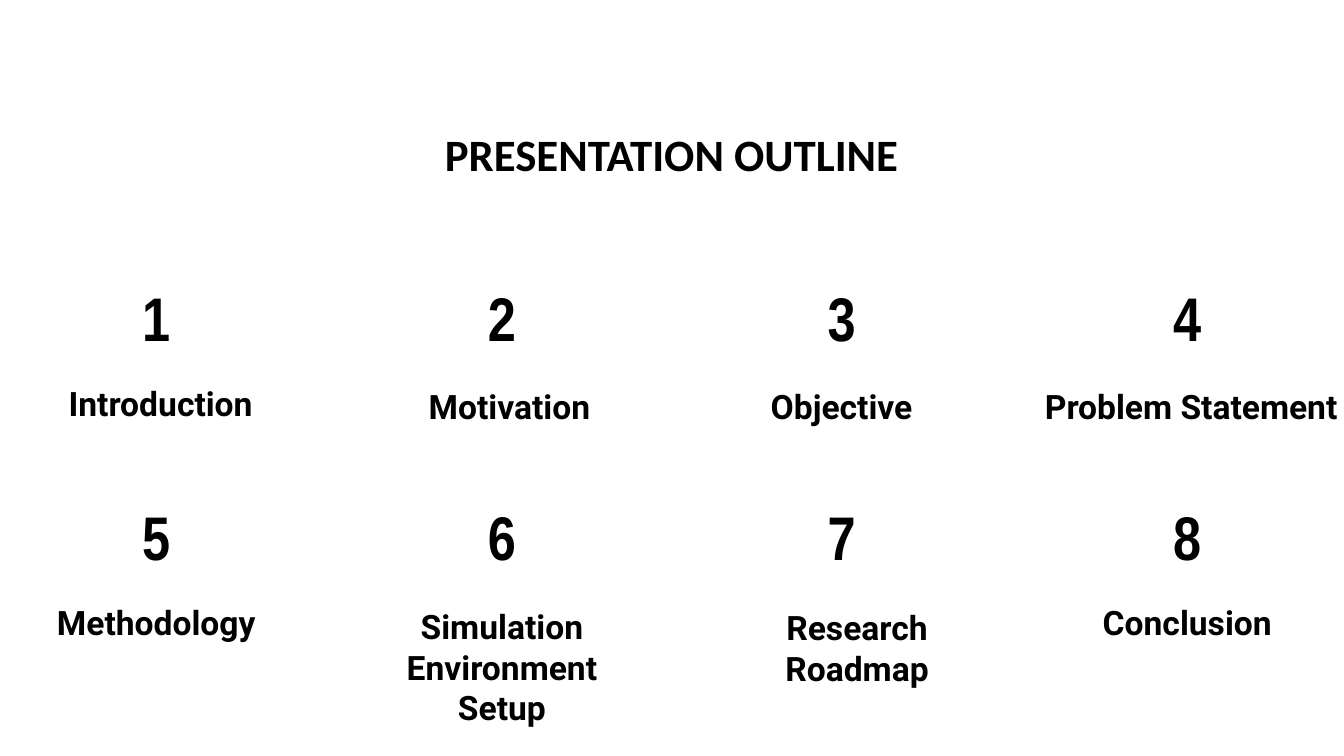
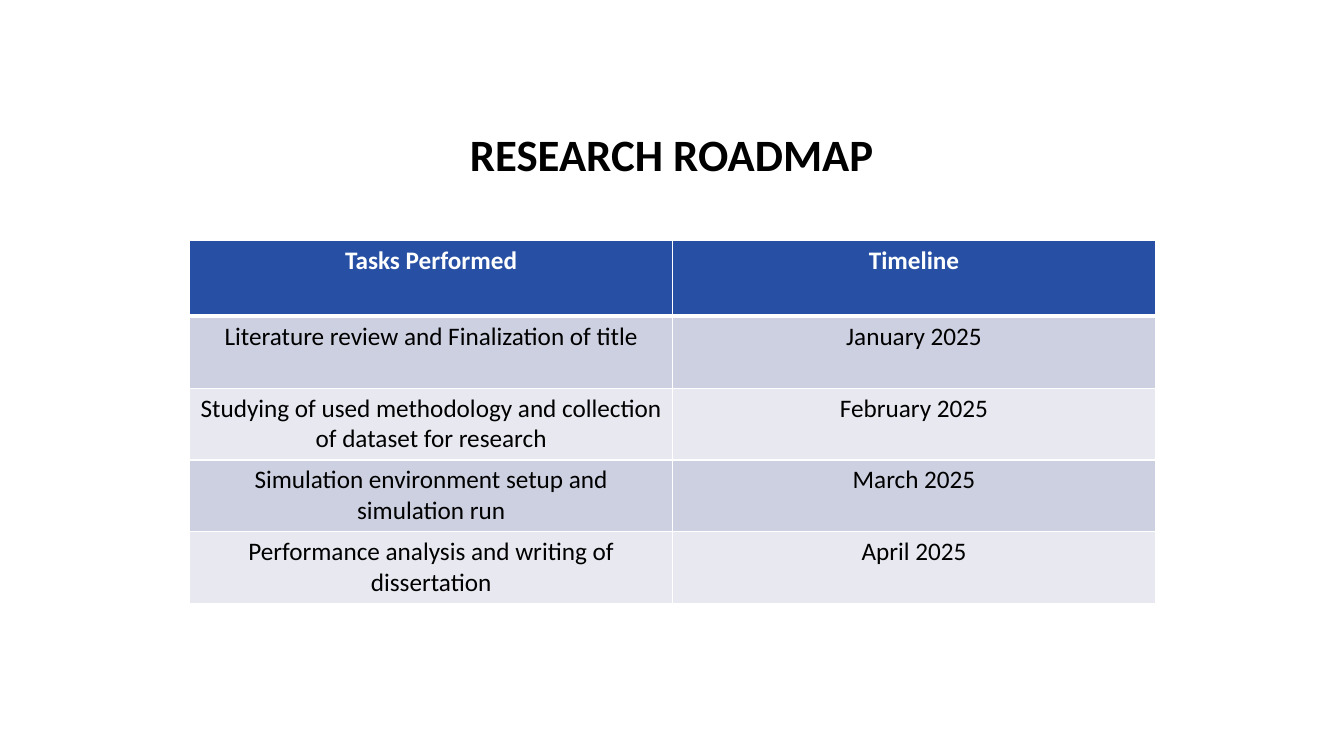
from lxml import etree
from pptx import Presentation
from pptx.dml.color import RGBColor
from pptx.enum.shapes import MSO_SHAPE as Shape
from pptx.enum.text import MSO_ANCHOR as Anchor, MSO_AUTO_SIZE as AutoSize, PP_ALIGN as Align
from pptx.oxml.ns import qn
from pptx.util import Cm, Pt

BLACK = RGBColor(0x00, 0x00, 0x00)
WHITE = RGBColor(0xFF, 0xFF, 0xFF)
HEADER_BLUE = RGBColor(0x27, 0x4F, 0xA4)
BAND_DARK = RGBColor(0xCD, 0xD0, 0xE0)
BAND_LIGHT = RGBColor(0xE8, 0xE9, 0xF0)

TITLE_FONT = {"name": "Calibri", "size": Pt(32), "bold": True}
NUMBER_FONT = {"name": "Arial Narrow", "size": Pt(44), "bold": True}
LABEL_FONT = {"name": "Roboto", "size": Pt(24), "bold": True}
HEADER_FONT = {"name": "Calibri", "size": Pt(18), "bold": True}
BODY_FONT = {**HEADER_FONT, "bold": False}

TITLE_BOX = (2.54, 1.73, 28.78, 4.45)
COLUMN_CENTRES = (3.94, 12.65, 21.21, 29.92)
ROW_CENTRES = (7.98, 13.51)
NUMBER_SIZE = (2.84, 2.74)
LABEL_HEIGHT = 1.4
TOPICS = [
    ("Introduction", 0.11, 2.17, 5.56),
    ("Motivation", 0.19, 2.25, 5.56),
    ("Objective", 0, 2.25, 5.56),
    ("Problem Statement", 0.1, 2.25, 8.33),
    ("Methodology", 0, 2.17, 5.56),
    ("Simulation\nEnvironment\nSetup", 0, 3.29, 5.56),
    ("Research\nRoadmap", 0.39, 2.81, 5.56),
    ("Conclusion", 0, 2.17, 5.56),
]

TABLE_BOX = (4.78, 6.07, 24.34)
HEADER_HEIGHT, BODY_HEIGHT = 1.9, 1.81
ROADMAP = [
    ("Tasks Performed", "Timeline"),
    ("Literature review and Finalization of title", "January 2025"),
    ("Studying of used methodology and collection of dataset for research", "February 2025"),
    ("Simulation environment setup and simulation run", "March 2025"),
    ("Performance analysis and writing of dissertation", "April 2025"),
]


def write_text(frame, text, font_values, color=BLACK, line_spacing=None):
    """Fill a text frame with centred paragraphs in one style."""
    frame.text = text
    frame.word_wrap = True
    for paragraph in frame.paragraphs:
        paragraph.alignment = Align.CENTER
        paragraph.line_spacing = line_spacing
        for run in paragraph.runs:
            for name, value in font_values.items():
                setattr(run.font, name, value)
            run.font.color.rgb = color


def centred_box(x, y, width, height):
    """Return the left, top, width and height of a box around a point."""
    return [Cm(value) for value in (x - width / 2, y - height / 2, width, height)]


def add_titled_slide(presentation, title):
    """Add a title-only slide with the shared title style."""
    slide = presentation.slides.add_slide(presentation.slide_layouts[5])
    shape = slide.shapes.title
    for name, value in zip(("left", "top", "width", "height"), TITLE_BOX):
        setattr(shape, name, Cm(value))
    write_text(shape.text_frame, title, TITLE_FONT, line_spacing=0.9)
    shape.text_frame.vertical_anchor = Anchor.MIDDLE
    shape.text_frame.auto_size = AutoSize.NONE
    return slide


def add_topic(slide, number, x, y, topic):
    """Add a numbered topic whose number is centred on the given point."""
    text, shift, drop, width = topic
    circle = slide.shapes.add_shape(Shape.OVAL, *centred_box(x, y, *NUMBER_SIZE))
    circle.shadow.inherit = False
    circle.fill.background()
    circle.line.fill.background()
    write_text(circle.text_frame, str(number), NUMBER_FONT)
    label = slide.shapes.add_textbox(*centred_box(x + shift, y + drop, width, LABEL_HEIGHT))
    write_text(label.text_frame, text, LABEL_FONT)
    for shape in (circle, label):
        shape.text_frame.vertical_anchor = Anchor.MIDDLE


def add_borders(cell, top, bottom):
    """Draw white borders round a table cell."""
    properties = cell._tc.get_or_add_tcPr()
    for tag, points in (("lnL", 1), ("lnR", 1), ("lnT", top), ("lnB", bottom)):
        line = etree.SubElement(properties, qn(f"a:{tag}"), w=str(Pt(points)))
        fill = etree.SubElement(line, qn("a:solidFill"))
        etree.SubElement(fill, qn("a:srgbClr"), val=str(WHITE))


def add_roadmap(slide, left, top, width):
    """Add the banded roadmap table."""
    height = HEADER_HEIGHT + BODY_HEIGHT * (len(ROADMAP) - 1)
    table = slide.shapes.add_table(
        len(ROADMAP), 2, Cm(left), Cm(top), Cm(width), Cm(height)).table
    for row_index, texts in enumerate(ROADMAP):
        is_header = row_index == 0
        table.rows[row_index].height = Cm(HEADER_HEIGHT if is_header else BODY_HEIGHT)
        band = BAND_DARK if row_index % 2 else BAND_LIGHT
        for column_index, text in enumerate(texts):
            cell = table.cell(row_index, column_index)
            add_borders(cell, 3 if row_index == 1 else 1, 3 if is_header else 1)
            cell.fill.solid()
            cell.fill.fore_color.rgb = HEADER_BLUE if is_header else band
            write_text(cell.text_frame, text, HEADER_FONT if is_header else BODY_FONT,
                       WHITE if is_header else BLACK)


def build_outline(presentation):
    """Build the slide with the grid of numbered topics."""
    slide = add_titled_slide(presentation, "PRESENTATION OUTLINE")
    for index, topic in enumerate(TOPICS):
        row, column = divmod(index, len(COLUMN_CENTRES))
        add_topic(slide, index + 1, COLUMN_CENTRES[column], ROW_CENTRES[row], topic)


def build_roadmap(presentation):
    """Build the slide with the roadmap table."""
    slide = add_titled_slide(presentation, "RESEARCH ROADMAP")
    add_roadmap(slide, *TABLE_BOX)


def main():
    """Build and save the presentation."""
    presentation = Presentation()
    presentation.slide_width = Cm(33.87)
    presentation.slide_height = Cm(19.05)
    build_outline(presentation)
    build_roadmap(presentation)
    presentation.save("out.pptx")


if __name__ == "__main__":
    main()
